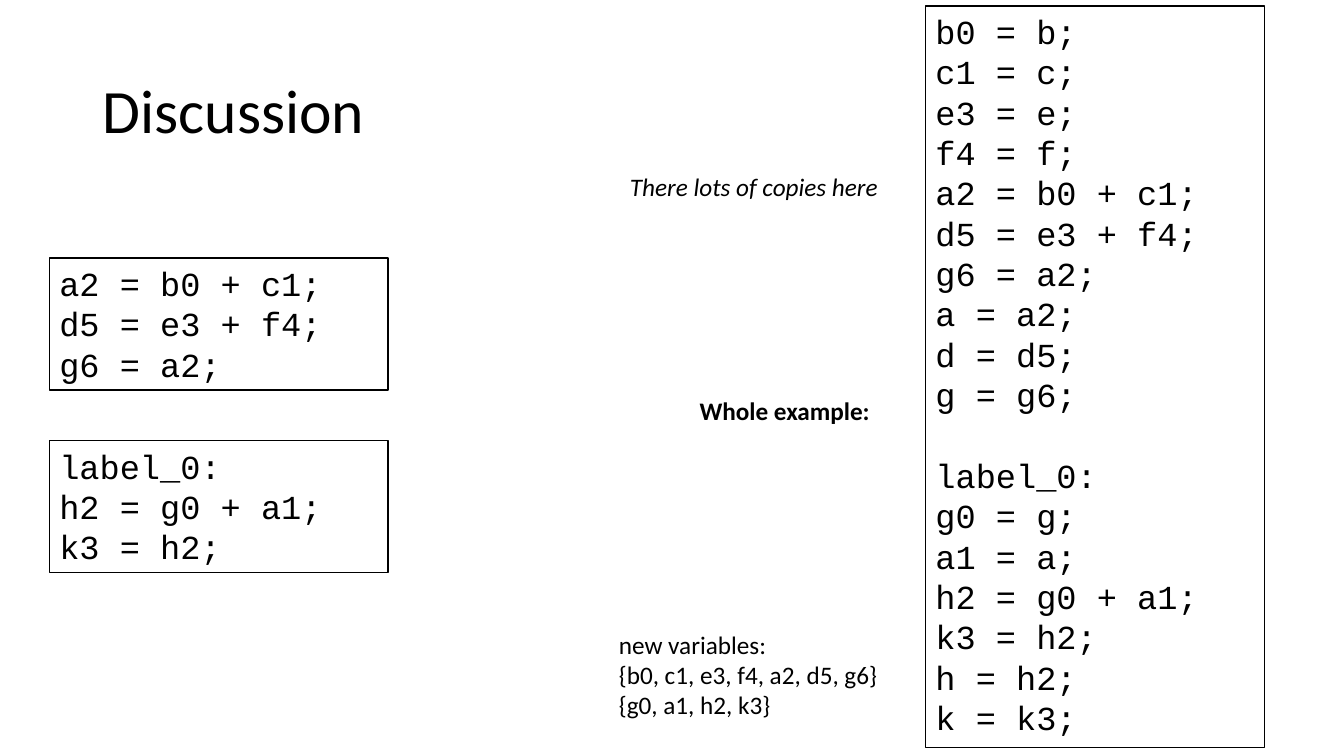
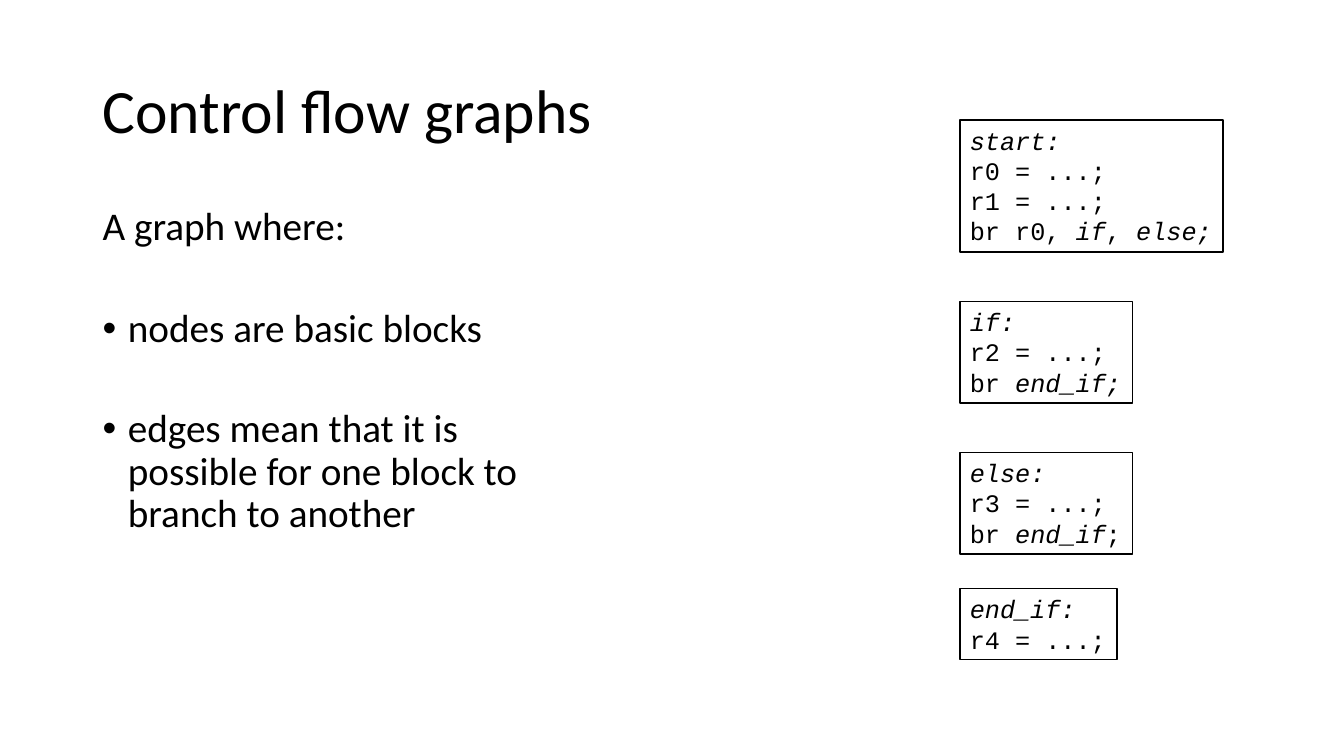
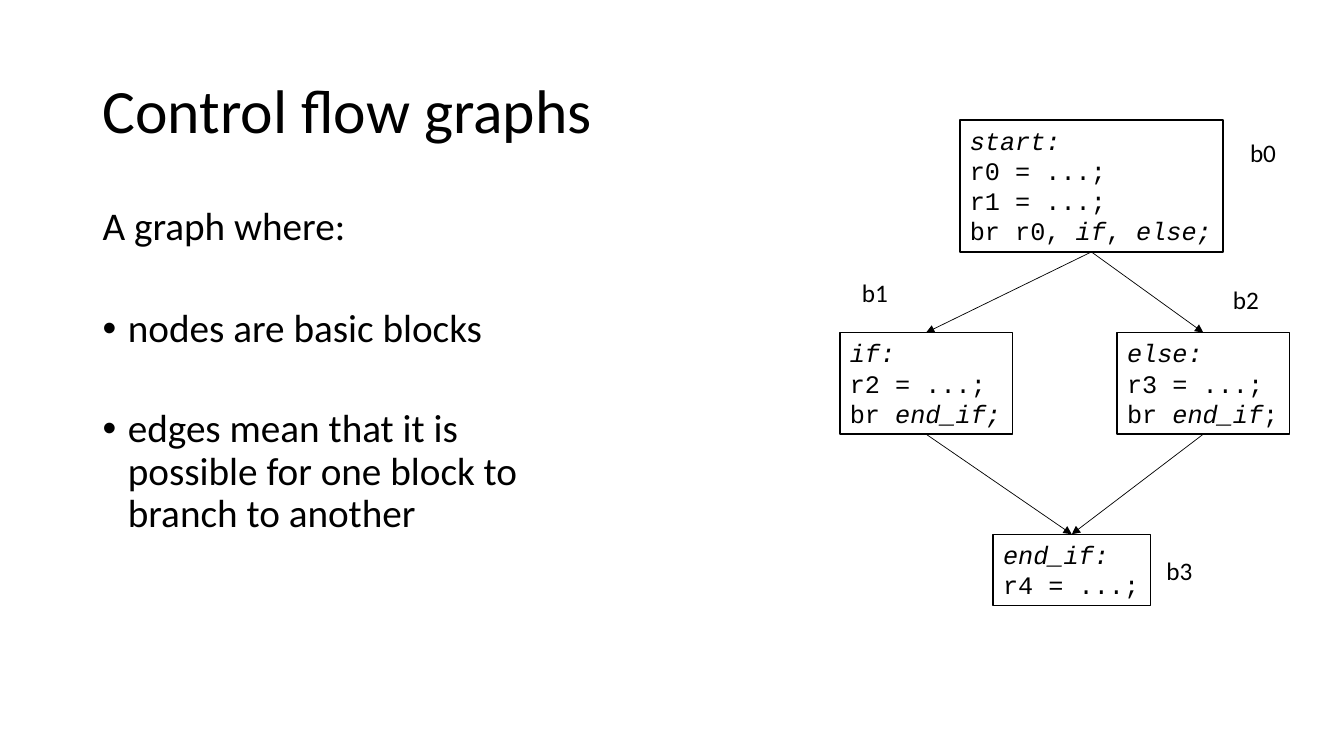
from lxml.etree import SubElement
from pptx import Presentation
from pptx.dml.color import RGBColor
from pptx.enum.shapes import MSO_CONNECTOR as Link, MSO_SHAPE as Shape
from pptx.enum.text import MSO_ANCHOR as Anchor, MSO_AUTO_SIZE as Fit, PP_ALIGN as Align
from pptx.oxml.ns import qn
from pptx.util import Inches, Pt

BLACK, WHITE = "000000", "FFFFFF"
SANS, MONO = "Calibri", "Courier New"
STEP = 0.0168

FIRST = ["a2 = b0 + c1;", "d5 = e3 + f4;", "g6 = a2;"]
LAST = ["label_0:", "h2 = g0 + a1;", "k3 = h2;"]
WHOLE = [
    "b0 = b;", "c1 = c;", "e3 = e;", "f4 = f;", *FIRST,
    "a = a2;", "d = d5;", "g = g6;",
    LAST[0], "g0 = g;", "a1 = a;", *LAST[1:], "h = h2;", "k = k3;",
]
LISTS = [(9.18, 0.06, WHOLE), (0.49, 4.37, LAST), (0.49, 2.56, FIRST)]
NOTES = [
    (6.84, 3.87, 1.9, ["Whole example:"], "bold"),
    (6.04, 6.19, 2.84,
     ["new variables:", "{b0, c1, e3, f4, a2, d5, g6}", "{g0, a1, h2, k3}"], ""),
    (6.15, 1.65, 2.73, ["*There lots of copies here*"], ""),
]

GRAPH = "Control flow graphs"
POINTS = [
    ("A graph where:", 10, False),
    ("nodes are basic blocks", 43, True),
    ("edges mean that it is possible for one block to branch to another", 41, True),
]
BLOCKS = {
    "b0": ["*start:*", "r0 = ...;", "r1 = ...;", "br r0, *if*, *else;*"],
    "b1": ["*if:*", "r2 = ...;", "br *end_if;*"],
    "b2": ["*else:*", "r3 = ...;", "br *end_if*;"],
    "b3": ["*end_if:*", "r4 = ...;"],
}
STACK = {"b0": (9.52, 1.19), "b1": (9.52, 2.99), "b2": (9.52, 4.49), "b3": (9.52, 5.84)}
TREE = {"b0": (9.52, 1.19), "b1": (8.33, 3.3), "b2": (11.08, 3.3), "b3": (9.85, 5.3)}
TAGS = {"b0": (12.3, 1.31), "b1": (8.45, 2.7), "b2": (12.13, 2.77), "b3": (11.47, 5.46)}
EDGES = [("b0", "b1"), ("b0", "b2"), ("b1", "b3"), ("b2", "b3")]


def color(code):
    return RGBColor.from_string(code)


def write(frame, lines, size, font=SANS, bold=False):
    for num, line in enumerate(lines):
        para = frame.add_paragraph() if num else frame.paragraphs[0]
        para.alignment = Align.LEFT
        for odd, part in enumerate(line.split("*")):
            if part:
                run = para.add_run()
                run.text = part
                run.font.name, run.font.size = font, Pt(size)
                run.font.color.rgb = color(BLACK)
                run.font.bold, run.font.italic = bold, odd % 2 == 1


def label(slide, left, top, wide, high, lines, size, wrap=False, bold=False):
    box = slide.shapes.add_textbox(*map(Inches, (left, top, wide, high)))
    frame = box.text_frame
    frame.word_wrap = wrap
    frame.auto_size = Fit.NONE if wrap else Fit.SHAPE_TO_FIT_TEXT
    write(frame, lines, size, bold=bold)
    return frame


def note(slide, left, top, wide, lines, bold=False):
    label(slide, left, top, wide, 0.1 + 0.3 * len(lines), lines, 18, bold=bold)


def code(slide, left, top, lines, size, wide=None):
    gaps = [n for n, line in enumerate(lines) if n and line.endswith(":")]
    high = 0.1 + (len(lines) + len(gaps)) * size * STEP
    chars = max(len(line.replace("*", "")) for line in lines)
    span = wide or 0.21 + 0.15 * chars
    box = slide.shapes.add_shape(Shape.RECTANGLE, *map(Inches, (left, top, span, high)))
    box.shadow.inherit = False
    box.fill.solid()
    box.fill.fore_color.rgb = color(WHITE)
    box.line.color.rgb = color(BLACK)
    box.line.width = Pt(1)
    frame = box.text_frame
    frame.word_wrap = wide is not None
    frame.auto_size = Fit.SHAPE_TO_FIT_TEXT
    frame.vertical_anchor = Anchor.TOP
    write(frame, lines, size, MONO)
    for num in gaps:
        frame.paragraphs[num].space_before = Inches(size * STEP)
    return box


def arrow(slide, start, end):
    line = slide.shapes.add_connector(Link.STRAIGHT, 0, 0, 0, 0)
    line.begin_connect(start, 2)
    line.end_connect(end, 0)
    line.line.color.rgb = color(BLACK)
    line.line.width = Pt(0.5)
    SubElement(line.line._get_or_add_ln(), qn("a:tailEnd"), type="triangle")
    SubElement(line._element.spPr, qn("a:effectLst"))


def start(deck, title):
    slide = deck.slides.add_slide(deck.slide_layouts[6])
    frame = label(slide, 0.92, 0.4, 11.5, 1.45, [title], 44, wrap=True)
    frame.vertical_anchor = Anchor.MIDDLE
    frame.paragraphs[0].line_spacing = 0.9
    return slide


def graph(deck, spots):
    slide = start(deck, GRAPH)
    texts = [text for text, _, _ in POINTS]
    frame = label(slide, 0.92, 2, 4.74, 4.01, texts, 28, wrap=True)
    for para, (_, gap, dot) in zip(frame.paragraphs, POINTS):
        para.line_spacing = 0.9
        para.space_before = Pt(gap)
        if dot:
            props = para._p.get_or_add_pPr()
            props.set("marL", str(Inches(0.25)))
            props.set("indent", str(-Inches(0.25)))
            SubElement(props, qn("a:buFont"), typeface="Arial")
            SubElement(props, qn("a:buChar"), char="•")
    boxes = {name: code(slide, *spots[name], BLOCKS[name], 18) for name in BLOCKS}
    return slide, boxes


def main():
    deck = Presentation()
    deck.slide_width, deck.slide_height = Inches(13.33), Inches(7.5)

    slide = start(deck, "Discussion")
    for left, top, lines in LISTS:
        code(slide, left, top, lines, 24, 3.36)
    for left, top, wide, lines, style in NOTES:
        note(slide, left, top, wide, lines, style == "bold")

    graph(deck, STACK)

    slide, boxes = graph(deck, TREE)
    for head, tail in EDGES:
        arrow(slide, boxes[head], boxes[tail])
    for name, (left, top) in TAGS.items():
        note(slide, left, top, 0.46, [name])

    deck.save("out.pptx")


if __name__ == "__main__":
    main()
